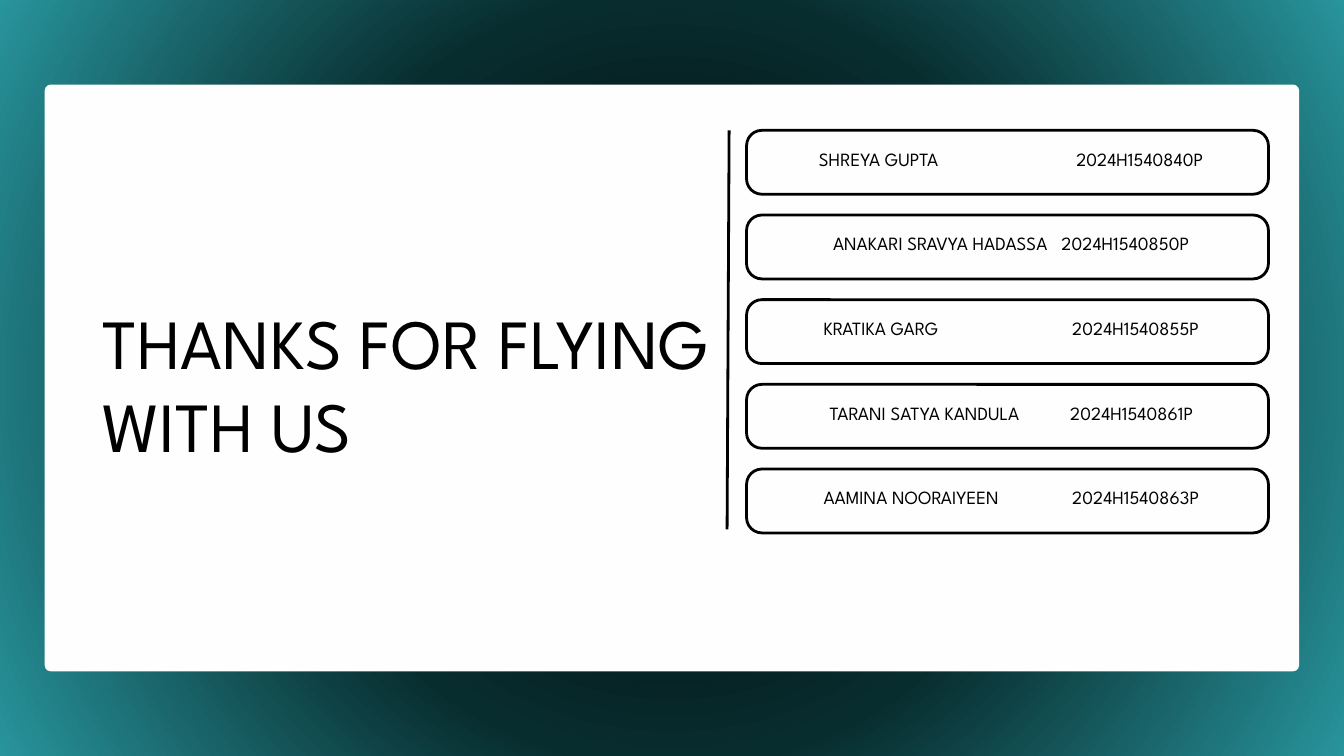
from typing import NamedTuple

from pptx import Presentation
from pptx.dml.color import RGBColor
from pptx.enum.shapes import MSO_CONNECTOR, MSO_SHAPE
from pptx.enum.text import MSO_ANCHOR, PP_ALIGN
from pptx.oxml import parse_xml
from pptx.oxml.ns import nsdecls, qn
from pptx.oxml.xmlchemy import OxmlElement
from pptx.util import Emu, Inches, Pt

ROUND = MSO_SHAPE.ROUNDED_RECTANGLE
STRAIGHT = MSO_CONNECTOR.STRAIGHT
LEFT = PP_ALIGN.LEFT
TOP, MIDDLE = MSO_ANCHOR.TOP, MSO_ANCHOR.MIDDLE

BLACK = RGBColor(0x00, 0x00, 0x00)
DARK = RGBColor(0x08, 0x2D, 0x2F)
TEAL = RGBColor(0x28, 0x94, 0x9C)
PAPER = RGBColor(0xFE, 0xFE, 0xFE)
FONT = "League Spartan"
STROKE = Pt(3)

# The grid has 100 columns and 100 rows.
WIDTH, HEIGHT = Inches(20), Inches(11.25)


class Box(NamedTuple):
    col: float
    row: float
    cols: float
    rows: float


class Member(NamedTuple):
    name: str
    code: str
    name_col: float
    code_col: float


CARD = Box(3.33, 11.2, 93.33, 77.6)
TITLE = Box(7.65, 39.91, 46.35, 21.78)
PILL = Box(55.55, 17.24, 38.83, 8.45)
PITCH = 11.2
LIFT = 1.42

MEMBERS = [
    Member("SHREYA GUPTA", "2024H1540840P", 60.6, 79.75),
    Member("ANAKARI SRAVYA HADASSA", "2024H1540850P", 61.65, 78.65),
    Member("KRATIKA GARG", "2024H1540855P", 60.95, 79.45),
    Member("TARANI SATYA KANDULA", "2024H1540861P", 61.4, 79.3),
    Member("AAMINA NOORAIYEEN", "2024H1540863P", 60.95, 79.45),
]


def x(cols: float) -> Emu:
    return Emu(round(WIDTH * cols / 100))


def y(rows: float) -> Emu:
    return Emu(round(HEIGHT * rows / 100))


def place(box: Box) -> tuple:
    return x(box.col), y(box.row), x(box.cols), y(box.rows)


def paint_back(slide) -> None:
    """Fill the background with a gradient that spreads from the centre."""
    slide.background.fill.gradient()
    old = slide.element.find(".//" + qn("a:gradFill"))
    stops = "".join(
        f'<a:gs pos="{pos}000"><a:srgbClr val="{color}"/></a:gs>'
        for pos, color in ((0, BLACK), (50, DARK), (100, TEAL))
    )
    new = parse_xml(
        f'<a:gradFill {nsdecls("a")} rotWithShape="1"><a:gsLst>{stops}</a:gsLst>'
        '<a:path path="circle"><a:fillToRect l="50000" t="50000" r="50000" b="50000"/>'
        "</a:path></a:gradFill>"
    )
    old.getparent().replace(old, new)


def add_round(slide, box: Box, curve: float):
    shape = slide.shapes.add_shape(ROUND, *place(box))
    shape.adjustments[0] = curve
    shape.shadow.inherit = False
    return shape


def add_card(slide) -> None:
    card = add_round(slide, CARD, 0.01)
    card.fill.solid()
    card.fill.fore_color.rgb = PAPER
    card.line.fill.background()


def add_rule(slide) -> None:
    rule = slide.shapes.add_connector(STRAIGHT, x(54.1), y(70.04), x(54.25), y(17.24))
    rule.line.color.rgb = BLACK
    rule.line.width = STROKE
    rule.element.spPr.append(OxmlElement("a:effectLst"))


def set_text(shape, text: str, size: float, pitch: float, anchor: MSO_ANCHOR) -> None:
    frame = shape.text_frame
    frame.text = text
    frame.word_wrap = True
    frame.vertical_anchor = anchor
    frame.margin_left = frame.margin_right = 0
    frame.margin_top = frame.margin_bottom = 0
    line = frame.paragraphs[0]
    line.alignment = LEFT
    line.line_spacing = Pt(pitch)
    for run in line.runs:
        run.font.name = FONT
        run.font.size = Pt(size)
        run.font.color.rgb = BLACK


def add_tab(line, stop: Emu) -> None:
    tabs = OxmlElement("a:tabLst")
    tab = OxmlElement("a:tab")
    tab.set("pos", str(int(stop)))
    tab.set("algn", "l")
    tabs.append(tab)
    line._p.get_or_add_pPr().append(tabs)


def add_pill(slide, index: int, who: Member) -> None:
    pill = add_round(slide, PILL._replace(row=PILL.row + index * PITCH), 0.24)
    pill.fill.background()
    pill.line.color.rgb = BLACK
    pill.line.width = STROKE
    set_text(pill, f"{who.name}\t{who.code}", 20, 28, MIDDLE)
    frame = pill.text_frame
    frame.margin_left = x(who.name_col - PILL.col)
    frame.margin_bottom = y(LIFT)
    add_tab(frame.paragraphs[0], x(who.code_col - who.name_col))


def main() -> None:
    deck = Presentation()
    deck.slide_width, deck.slide_height = WIDTH, HEIGHT
    slide = deck.slides.add_slide(deck.slide_layouts[6])
    paint_back(slide)
    add_card(slide)
    add_rule(slide)
    title = slide.shapes.add_textbox(*place(TITLE))
    set_text(title, "THANKS FOR FLYING WITH US", 75.5, 88.3, TOP)
    for index, who in enumerate(MEMBERS):
        add_pill(slide, index, who)
    deck.save("out.pptx")


if __name__ == "__main__":
    main()
